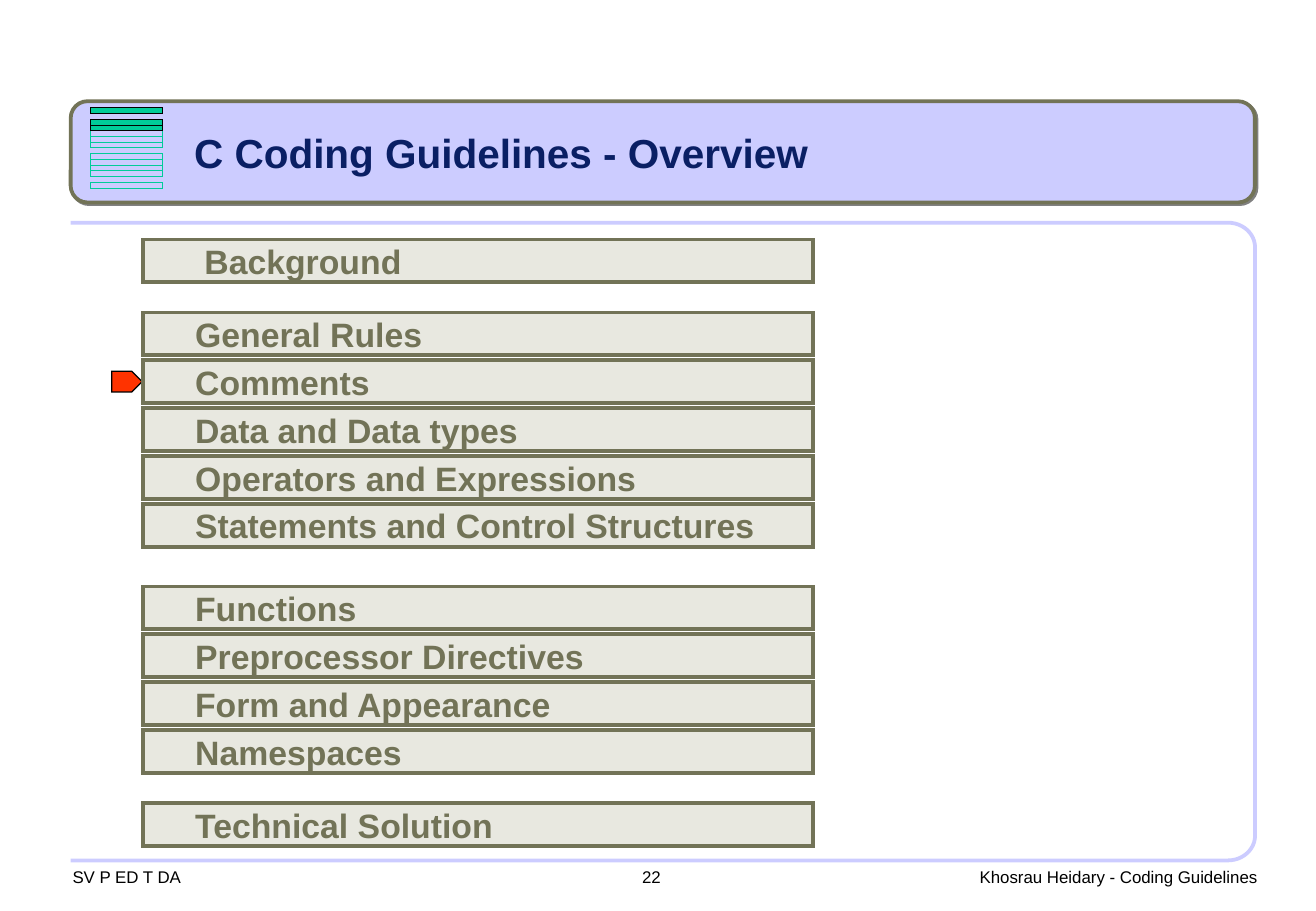
"""Build the overview slide of the C coding guidelines talk."""
from lxml import etree
from pptx import Presentation
from pptx.dml.color import RGBColor
from pptx.enum.shapes import MSO_SHAPE
from pptx.enum.text import MSO_ANCHOR, PP_ALIGN
from pptx.oxml.ns import qn
from pptx.util import Pt

TITLE = "C Coding Guidelines - Overview"
CURRENT = "Comments"
GROUPS = [
    (141.9, 36.2, ["Background"]),
    (185.2, 30.7, ["General Rules", "Comments", "Data and Data types",
                   "Operators and Expressions", "Statements and Control Structures"]),
    (347.6, 30.7, ["Functions", "Preprocessor Directives", "Form and Appearance",
                   "Namespaces"]),
    (476.1, 30.7, ["Technical Solution"]),
]
FOOTERS = [
    ("SV P ED T DA", 43, 513.6, 148),
    ("Khosrau Heidary - Coding Guidelines", 580.8, 513.6, 179.5),
    ("22", 380.7, 513.9, 45),
]

LAVENDER = RGBColor(0xCC, 0xCC, 0xFF)
OLIVE = RGBColor(0x72, 0x73, 0x57)
PALE = RGBColor(0xE8, 0xE8, 0xE0)
NAVY = RGBColor(0x0A, 0x1F, 0x64)
GREEN = RGBColor(0x00, 0xCC, 0x99)
RED = RGBColor(0xFF, 0x33, 0x00)
BLACK = RGBColor(0, 0, 0)

TITLE_FONT = {"name": "Arial", "size": Pt(24), "bold": True}
TOPIC_FONT = {"name": "Arial", "size": Pt(20), "bold": True}
FOOTER_FONT = {"name": "Arial", "size": Pt(10), "bold": False}

BAR_LEFT, BAR_WIDTH, BAR_HEIGHT, BAR_STEP = 85, 396.8, 25.3, 28.4
STRIPE_LEFT, STRIPE_TOP, STRIPE_WIDTH, STRIPE_STEP = 53.4, 63.8, 42.9, 3.4
MARKER_WIDTH, MARKER_HEIGHT = 18, 12.2
FRAME_LEFT, FRAME_RIGHT, FRAME_TOP, FRAME_BOTTOM = 41.9, 744, 132, 510
CORNER_WIDTH, CORNER_HEIGHT, CORNER_STEPS = 16, 14.6, 12


def paint(shape, fill, line, weight):
    """Set fill and sharp-cornered outline, without shadow."""
    shape.shadow.inherit = False
    if fill is None:
        shape.fill.background()
    else:
        shape.fill.solid()
        shape.fill.fore_color.rgb = fill
    shape.line.color.rgb = line
    shape.line.width = Pt(weight)
    outline = shape._element.spPr.find(qn("a:ln"))
    etree.SubElement(outline, qn("a:miter"), lim="800000")


def add_block(slide, preset, box, fill, line, weight):
    """Add a painted preset shape."""
    block = slide.shapes.add_shape(preset, *map(Pt, box))
    paint(block, fill, line, weight)
    return block


def write(shape, text, font, color, indent=0, anchor=MSO_ANCHOR.TOP):
    """Put one left-aligned line of text in a shape."""
    layout = {"margin_left": Pt(indent), "margin_right": 0, "margin_top": 0,
              "margin_bottom": 0, "vertical_anchor": anchor, "word_wrap": True}
    for key, value in layout.items():
        setattr(shape.text_frame, key, value)
    paragraph = shape.text_frame.paragraphs[0]
    paragraph.alignment = PP_ALIGN.LEFT
    run = paragraph.add_run()
    run.text = text
    for key, value in font.items():
        setattr(run.font, key, value)
    run.font.color.rgb = color


def add_frame(slide):
    """Draw the open frame with two rounded right corners."""
    def corner(y, inward):
        for step in range(CORNER_STEPS + 1):
            t = step / CORNER_STEPS
            curve = 3 * 0.55 * t * (1 - t) ** 2 + 3 * t ** 2 * (1 - t) + t ** 3
            drop = 3 * 0.45 * t ** 2 * (1 - t) + t ** 3
            yield (FRAME_RIGHT - CORNER_WIDTH * (1 - curve),
                   y + inward * CORNER_HEIGHT * drop)

    outline = [*corner(FRAME_TOP, 1), *reversed([*corner(FRAME_BOTTOM, -1)]),
               (FRAME_LEFT, FRAME_BOTTOM)]
    builder = slide.shapes.build_freeform(Pt(FRAME_LEFT), Pt(FRAME_TOP))
    builder.add_line_segments([(Pt(x), Pt(y)) for x, y in outline], close=False)
    paint(builder.convert_to_shape(), None, LAVENDER, 2.25)


def add_header(slide):
    """Draw the title banner with its shadow."""
    banner = add_block(slide, MSO_SHAPE.ROUNDED_RECTANGLE, (41.9, 60, 702, 60),
                       LAVENDER, OLIVE, 2.25)
    effects = banner._element.spPr.find(qn("a:effectLst"))
    shadow = etree.SubElement(effects, qn("a:outerShdw"), dist=str(Pt(1.4)),
                              dir="2700000", algn="ctr", rotWithShape="0")
    etree.SubElement(shadow, qn("a:srgbClr"), val="808080")
    title = slide.shapes.add_textbox(Pt(115.1), Pt(76), Pt(420), Pt(30))
    write(title, TITLE, TITLE_FONT, NAVY)


def add_stripes(slide):
    """Draw one stripe per topic, a blank row between groups, done ones on top."""
    rows = [row for _, _, topics in GROUPS for row in [*topics, None]]
    current_row = rows.index(CURRENT)
    for row in reversed(range(len(rows))):
        if rows[row] is None:
            continue
        done = row <= current_row
        stripe = (STRIPE_LEFT, STRIPE_TOP + row * STRIPE_STEP,
                  STRIPE_WIDTH, STRIPE_STEP)
        add_block(slide, MSO_SHAPE.RECTANGLE, stripe, GREEN if done else None,
                  BLACK if done else GREEN, 0.25)


def add_topics(slide):
    """Draw the topic bars and the marker of the current one."""
    for top, indent, topics in GROUPS:
        for index, topic in enumerate(topics):
            y = top + index * BAR_STEP
            if topic == CURRENT:
                marker = (BAR_LEFT - MARKER_WIDTH - 0.8,
                          y + (BAR_HEIGHT - MARKER_HEIGHT) / 2,
                          MARKER_WIDTH, MARKER_HEIGHT)
                add_block(slide, MSO_SHAPE.PENTAGON, marker, RED, BLACK, 0.75)
            bar = add_block(slide, MSO_SHAPE.RECTANGLE,
                            (BAR_LEFT, y, BAR_WIDTH, BAR_HEIGHT), PALE, OLIVE, 2.25)
            write(bar, topic, TOPIC_FONT, OLIVE, indent, MSO_ANCHOR.MIDDLE)


def main():
    """Assemble and save the slide."""
    deck = Presentation()
    deck.slide_width = Pt(780.12)
    deck.slide_height = Pt(540)
    slide = deck.slides.add_slide(deck.slide_layouts[6])
    for text, left, top, width in FOOTERS:
        footer = slide.shapes.add_textbox(Pt(left), Pt(top), Pt(width), Pt(13))
        write(footer, text, FOOTER_FONT, BLACK)
    add_frame(slide)
    add_header(slide)
    add_stripes(slide)
    add_topics(slide)
    deck.save("out.pptx")


if __name__ == "__main__":
    main()
